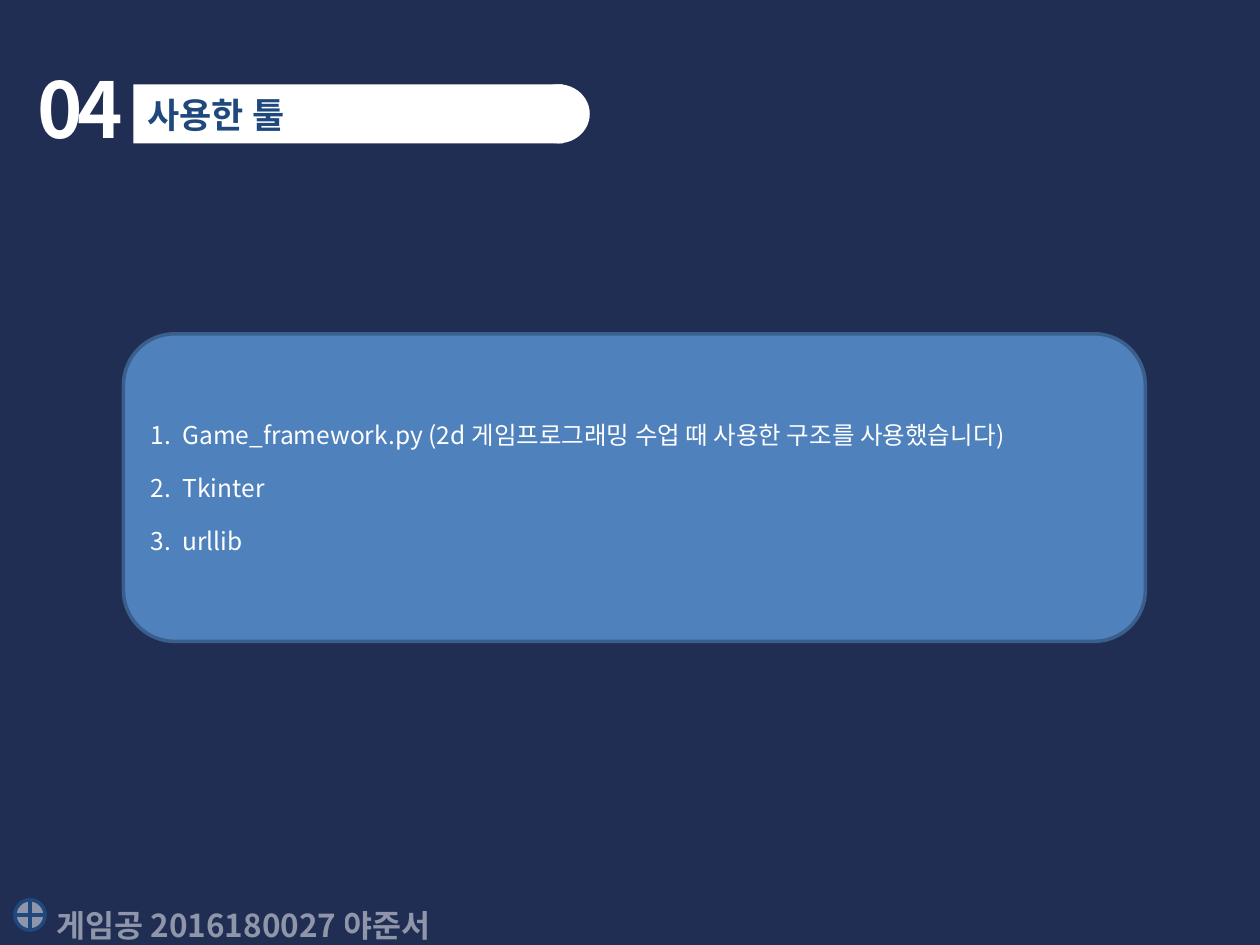
"""Build the slide that lists the tools used."""
from lxml.etree import SubElement
from pptx import Presentation
from pptx.dml.color import RGBColor
from pptx.enum.shapes import MSO_SHAPE
from pptx.enum.text import MSO_ANCHOR, MSO_AUTO_SIZE, PP_ALIGN
from pptx.oxml.ns import qn
from pptx.util import Cm, Pt

FONT = "Noto Sans CJK KR"
NAVY, WHITE, BLUE = "212E53", "FFFFFF", "1F497D"
PANEL, EDGE = "4F81BD", "3A5F8C"

NUMBER = "04"
TITLE = "사용한 툴"
FOOTER = "게임공 2016180027 야준서"
TOOLS = [
    "Game_framework.py (2d 게임프로그래밍 수업 때 사용한 구조를 사용했습니다)",
    "Tkinter",
    "urllib",
]


def paint(fill, color, alpha=None):
    fill.solid()
    fill.fore_color.rgb = RGBColor.from_string(color)
    if alpha:
        tone = fill._xPr.find(qn("a:solidFill"))[0]
        SubElement(tone, qn("a:alpha"), val=str(alpha * 1000))


def style(para, size, color, bold=False, alpha=None, track=None):
    font = para.font
    font.size, font.bold, font.name = Pt(size), bold, FONT
    paint(font.fill, color, alpha)
    SubElement(font._rPr, qn("a:ea"), typeface=FONT)
    if track:
        font._rPr.set("spc", str(track * 100))
    para.alignment = PP_ALIGN.LEFT


def place(shape, box):
    shape.left, shape.top, shape.width, shape.height = map(Cm, box)


def write(shape, text, *look, **more):
    frame = shape.text_frame
    frame.word_wrap = True
    frame.auto_size = MSO_AUTO_SIZE.NONE
    frame.vertical_anchor = MSO_ANCHOR.TOP
    frame.text = text
    style(frame.paragraphs[0], *look, **more)


def draw(shapes, kind, box, color, alpha=None, edge=None):
    shape = shapes.add_shape(kind, *map(Cm, box))
    shape.shadow.inherit = False
    paint(shape.fill, color, alpha)
    if edge:
        paint(shape.line.fill, edge)
        shape.line.width = Pt(2)
    else:
        shape.line.fill.background()
    return shape


def number(frame, items):
    frame.word_wrap = True
    frame.vertical_anchor = MSO_ANCHOR.MIDDLE
    for i, item in enumerate(items):
        para = frame.add_paragraph() if i else frame.paragraphs[0]
        para.text = item
        props = para._p.get_or_add_pPr()
        props.set("marL", str(Cm(0.64)))
        props.set("indent", str(-Cm(0.64)))
        SubElement(props, qn("a:buFont"), typeface="+mj-lt")
        SubElement(props, qn("a:buAutoNum"), type="arabicPeriod")
        style(para, 14, WHITE)
        para.space_before = Pt(13.5 if i else 0)


deck = Presentation()
deck.slide_width, deck.slide_height = Cm(25.4), Cm(19.05)
slide = deck.slides.add_slide(deck.slide_layouts[5])
paint(slide.background.fill, NAVY)
shapes = slide.shapes
title = shapes.title

label = shapes.add_textbox(*map(Cm, (0.51, 1.12, 2.79, 2.13)))
write(label, NUMBER, 44, WHITE, True, track=-3)
draw(shapes, MSO_SHAPE.FLOWCHART_OR, (0.3, 18.14, 0.61, 0.61), WHITE, 50, BLUE)

bar = shapes.add_group_shape().shapes
draw(bar, MSO_SHAPE.RECTANGLE, (2.69, 1.7, 8.66, 1.19), WHITE)
draw(bar, MSO_SHAPE.OVAL, (10.62, 1.7, 1.27, 1.19), WHITE)

footer = shapes.add_textbox(*map(Cm, (0.89, 18.14, 8.99, 1.02)))
write(footer, FOOTER, 18, WHITE, True, alpha=50)

place(title, (2.72, 1.75, 8.81, 1.12))
write(title, TITLE, 20, BLUE, True)
shapes._spTree.append(title._element)

panel = draw(shapes, MSO_SHAPE.ROUNDED_RECTANGLE, (2.49, 6.73, 20.6, 6.2), PANEL, edge=EDGE)
number(panel.text_frame, TOOLS)

deck.save("out.pptx")
